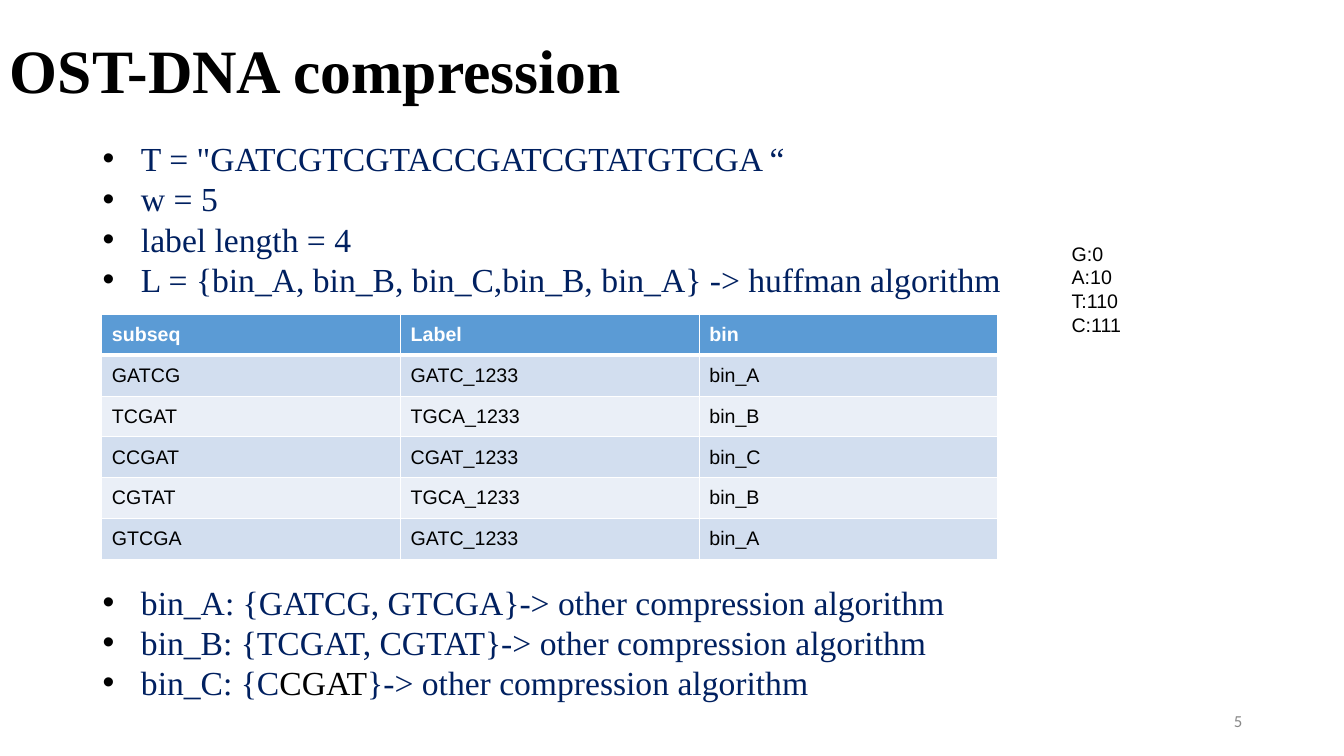
from dataclasses import dataclass

from lxml.etree import SubElement
from pptx import Presentation
from pptx.dml.color import RGBColor
from pptx.enum.text import MSO_ANCHOR, PP_ALIGN
from pptx.oxml import parse_xml
from pptx.oxml.ns import nsdecls, qn
from pptx.util import Pt

PX = 9144
COLOURS = {
    "black": "000000",
    "navy": "002060",
    "grey": "888888",
    "white": "FFFFFF",
    "header": "5B9BD5",
    "odd": "D2DEEF",
    "even": "EAEFF7",
}
Line = list[tuple[str, str]]


@dataclass(frozen=True)
class TextBlock:
    left: int
    top: int
    width: int
    height: int
    lines: list[Line]
    size: int
    font: str
    bold: bool = False
    bulleted: bool = False
    line_spacing: float | Pt | None = None
    anchor: MSO_ANCHOR = MSO_ANCHOR.TOP
    align: PP_ALIGN = PP_ALIGN.LEFT


def plain(colour: str, *texts: str) -> list[Line]:
    return [[(text, colour)] for text in texts]


def rgb(name: str) -> RGBColor:
    return RGBColor.from_string(COLOURS[name])


def add_bullet(para) -> None:
    properties = para._p.get_or_add_pPr()
    properties.set("marL", str(38 * PX))
    properties.set("indent", str(-38 * PX))
    colour = SubElement(properties, qn("a:buClr"))
    SubElement(colour, qn("a:srgbClr"), val=COLOURS["black"])
    SubElement(properties, qn("a:buFont"), typeface="Arial")
    SubElement(properties, qn("a:buChar"), char="•")


def add_text(page, block: TextBlock) -> None:
    box = page.shapes.add_textbox(
        block.left * PX, block.top * PX, block.width * PX, block.height * PX
    )
    frame = box.text_frame
    frame.word_wrap = True
    frame.vertical_anchor = block.anchor
    for index, line in enumerate(block.lines):
        para = frame.add_paragraph() if index else frame.paragraphs[0]
        if block.bulleted:
            add_bullet(para)
        para.alignment = block.align
        para.line_spacing = block.line_spacing
        para.font.size = Pt(block.size)
        para.font.name = block.font
        para.font.bold = block.bold
        for text, colour in line:
            span = para.add_run()
            span.text = text
            span.font.color.rgb = rgb(colour)


def set_borders(cell, top: int, bottom: int) -> None:
    properties = cell._tc.get_or_add_tcPr()
    widths = {"lnL": 1, "lnR": 1, "lnT": top, "lnB": bottom}
    for index, (side, width) in enumerate(widths.items()):
        border = parse_xml(
            f'<a:{side} {nsdecls("a")} w="{Pt(width)}"><a:solidFill>'
            f'<a:srgbClr val="{COLOURS["white"]}"/></a:solidFill></a:{side}>'
        )
        properties.insert(index, border)


def add_bin_table(page, rows: list[tuple[str, str, str]]) -> None:
    width, height = 889 * PX, 243 * PX
    table = page.shapes.add_table(
        len(rows), len(rows[0]), 101 * PX, 312 * PX, width, height
    ).table
    for column in table.columns:
        column.width = width // len(rows[0])
    for row_index, values in enumerate(rows):
        is_header = row_index == 0
        table.rows[row_index].height = height // len(rows)
        fill = "header" if is_header else "odd" if row_index % 2 else "even"
        for column_index, value in enumerate(values):
            cell = table.cell(row_index, column_index)
            cell.text = value
            cell.vertical_anchor = MSO_ANCHOR.MIDDLE
            cell.fill.solid()
            cell.fill.fore_color.rgb = rgb(fill)
            set_borders(cell, 3 if row_index == 1 else 1, 3 if is_header else 1)
            font = cell.text_frame.paragraphs[0].font
            font.size = Pt(14)
            font.name = "Arial"
            font.bold = is_header
            font.color.rgb = rgb("white" if is_header else "black")


TITLE = TextBlock(
    0, 0, 1150, 145, plain("black", "OST-DNA compression"), 44, "Times New Roman",
    bold=True, line_spacing=0.9, anchor=MSO_ANCHOR.MIDDLE,
)
INPUTS = TextBlock(
    92, 132, 1178, 170,
    plain(
        "navy",
        'T = "GATCGTCGTACCGATCGTATGTCGA “',
        "w = 5",
        "label length = 4",
        "L = {bin_A, bin_B, bin_C,bin_B, bin_A} -> huffman algorithm",
    ),
    24, "Times New Roman", bulleted=True, line_spacing=Pt(28.8),
)
BINS = TextBlock(
    92, 572, 1178, 130,
    plain(
        "navy",
        "bin_A: {GATCG, GTCGA}-> other compression algorithm",
        "bin_B: {TCGAT, CGTAT}-> other compression algorithm",
    )
    + [[
        ("bin_C: {C", "navy"),
        ("CGAT", "black"),
        ("}-> other compression algorithm", "navy"),
    ]],
    24, "Times New Roman", bulleted=True, line_spacing=Pt(28.8),
)
PAGE_NUMBER = TextBlock(
    942, 695, 300, 40, plain("grey", "5"), 12, "Calibri",
    anchor=MSO_ANCHOR.MIDDLE, align=PP_ALIGN.RIGHT,
)
HUFFMAN_CODES = TextBlock(
    1053, 235, 203, 104, plain("black", "G:0", "A:10", "T:110", "C:111"), 14, "Arial"
)
BIN_ROWS = [
    ("subseq", "Label", "bin"),
    ("GATCG", "GATC_1233", "bin_A"),
    ("TCGAT", "TGCA_1233", "bin_B"),
    ("CCGAT", "CGAT_1233", "bin_C"),
    ("CGTAT", "TGCA_1233", "bin_B"),
    ("GTCGA", "GATC_1233", "bin_A"),
]


def main() -> None:
    deck = Presentation()
    deck.slide_width = 1333 * PX
    deck.slide_height = 750 * PX
    page = deck.slides.add_slide(deck.slide_layouts[6])
    for block in (TITLE, INPUTS, BINS, PAGE_NUMBER):
        add_text(page, block)
    add_bin_table(page, BIN_ROWS)
    add_text(page, HUFFMAN_CODES)
    deck.save("out.pptx")


if __name__ == "__main__":
    main()
